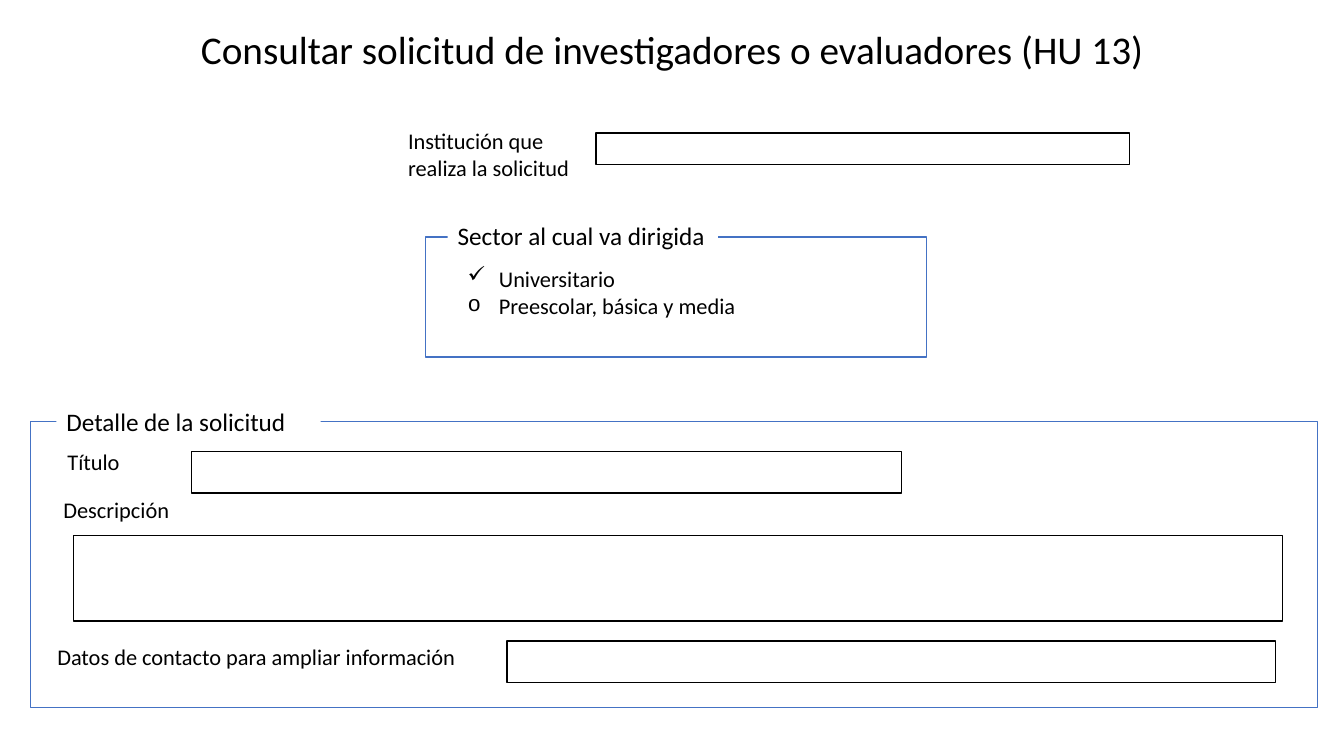
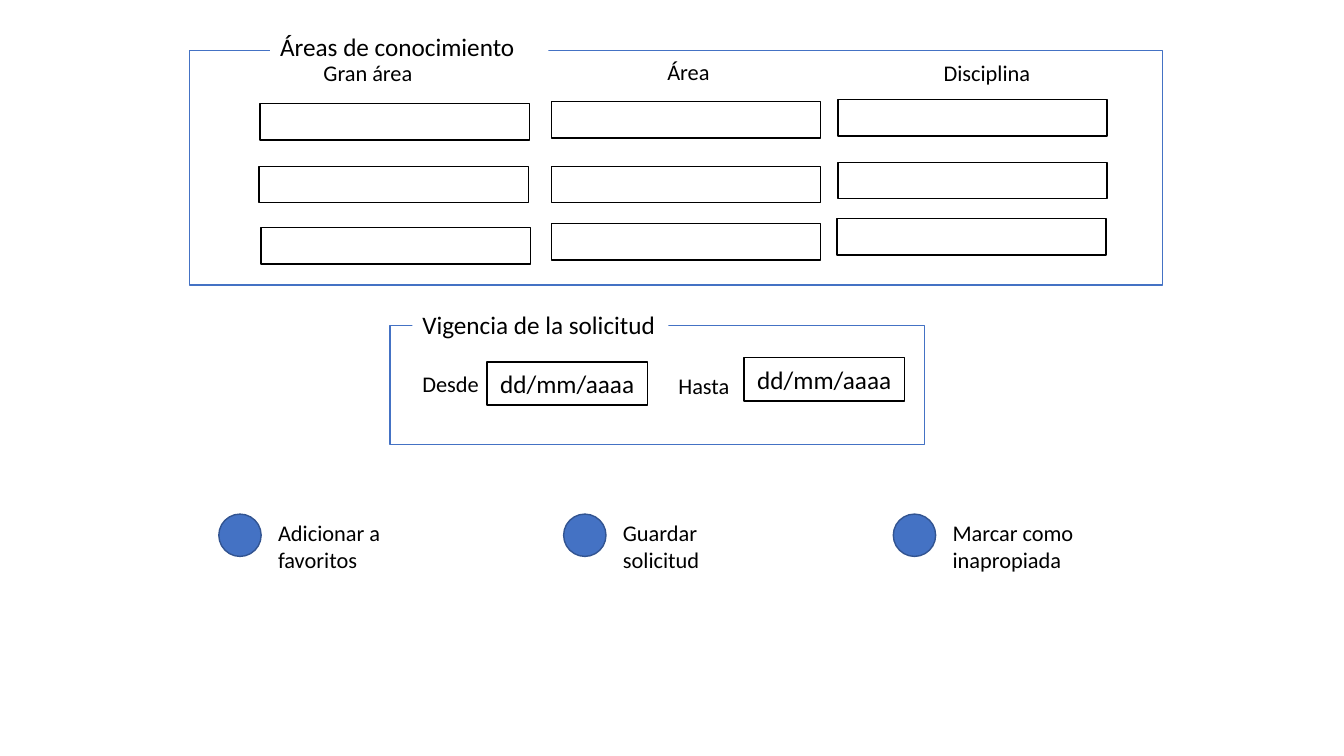
from dataclasses import dataclass

from lxml import etree
from pptx import Presentation
from pptx.dml.color import RGBColor
from pptx.enum.shapes import MSO_SHAPE
from pptx.enum.text import MSO_ANCHOR, MSO_AUTO_SIZE, PP_ALIGN
from pptx.oxml.ns import qn
from pptx.shapes.autoshape import Shape
from pptx.slide import Slide
from pptx.util import Inches, Pt

RECT, OVAL = MSO_SHAPE.RECTANGLE, MSO_SHAPE.OVAL
LEFT, CENTER = PP_ALIGN.LEFT, PP_ALIGN.CENTER
TOP, MIDDLE = MSO_ANCHOR.TOP, MSO_ANCHOR.MIDDLE
FIT = MSO_AUTO_SIZE.SHAPE_TO_FIT_TEXT

COLORS = {
    "text": "000000",
    "paper": "FFFFFF",
    "field": "000000",
    "accent": "4472C4",
    "accent_dark": "325491",
}
FONT = "Calibri"
TITLE_SIZE, LEGEND_SIZE, LABEL_SIZE = 28, 18, 16
SLIDE_W, SLIDE_H = 13.33, 7.5


@dataclass(frozen=True)
class Box:
    left: float
    top: float
    width: float
    height: float

    def lengths(self) -> list[int]:
        return [Inches(v) for v in (self.left, self.top, self.width, self.height)]


@dataclass(frozen=True)
class Label:
    text: str
    box: Box
    wrap: bool = False


@dataclass(frozen=True)
class Group:
    """A framed form section whose legend interrupts the top border."""
    frame: Box
    legend: Label


@dataclass(frozen=True)
class Column:
    heading: Label
    fields: tuple[tuple[float, float], ...]


@dataclass(frozen=True)
class Action:
    text: str
    left: float


def rgb(name: str) -> RGBColor:
    return RGBColor.from_string(COLORS[name])


def write(sp: Shape, lines: list[str], size: int, wrap: bool = True,
          align: PP_ALIGN = LEFT, anchor: MSO_ANCHOR = TOP) -> None:
    tf = sp.text_frame
    frame_format = {"word_wrap": wrap, "vertical_anchor": anchor}
    if anchor == TOP:
        frame_format["auto_size"] = FIT
    for name, value in frame_format.items():
        setattr(tf, name, value)
    for i, line in enumerate(lines):
        p = tf.paragraphs[0] if i == 0 else tf.add_paragraph()
        p.alignment = align
        r = p.add_run()
        r.text = line
        for name, value in {"name": FONT, "size": Pt(size)}.items():
            setattr(r.font, name, value)
        r.font.color.rgb = rgb("text")


def add_box(s: Slide, box: Box, line: str | None = "field",
            fill: str = "paper", kind: MSO_SHAPE = RECT) -> Shape:
    sp = s.shapes.add_shape(kind, *box.lengths())
    sp.shadow.inherit = False
    sp.fill.solid()
    sp.fill.fore_color.rgb = rgb(fill)
    if line is None:
        sp.line.fill.background()
    else:
        sp.line.color.rgb = rgb(line)
        sp.line.width = Pt(1)
    return sp


def add_text(s: Slide, label: Label, size: int = LABEL_SIZE,
             align: PP_ALIGN = LEFT) -> None:
    sp = s.shapes.add_textbox(*label.box.lengths())
    write(sp, [label.text], size, label.wrap, align)


def add_group(s: Slide, group: Group) -> None:
    add_box(s, group.frame, "accent")
    sp = add_box(s, group.legend.box, None)
    write(sp, [group.legend.text], LEGEND_SIZE, group.legend.wrap)


def add_options(s: Slide, box: Box, options: dict[str, str]) -> None:
    """Draw a list of options, each mapped to its bullet character."""
    sp = s.shapes.add_textbox(*box.lengths())
    write(sp, list(options), LABEL_SIZE, wrap=False)
    indent = Inches(0.31)
    for p, bullet in zip(sp.text_frame.paragraphs, options.values()):
        pPr = p._p.get_or_add_pPr()
        pPr.set("marL", str(indent))
        pPr.set("indent", str(-indent))
        if bullet == "o":
            etree.SubElement(pPr, qn("a:buFont")).set("typeface", "Courier New")
        etree.SubElement(pPr, qn("a:buChar")).set("char", bullet)


def add_date(s: Slide, label: Label, box: Box) -> None:
    add_text(s, label)
    sp = add_box(s, box)
    write(sp, ["dd/mm/aaaa"], LEGEND_SIZE, align=CENTER, anchor=MIDDLE)


def add_column(s: Slide, column: Column) -> None:
    add_text(s, column.heading)
    for left, top in column.fields:
        add_box(s, Box(left, top, 2.67, 0.36))


def add_action(s: Slide, action: Action) -> None:
    top, dot = 5.1, 0.42
    add_box(s, Box(action.left, top, dot, dot), "accent_dark", "accent", OVAL)
    add_text(s, Label(action.text, Box(action.left + 0.49, top, 1.4, 0.64), True))


TITLE = Label("Consultar solicitud de investigadores o evaluadores (HU 13)",
              Box(0, 0.2, SLIDE_W, 0.57), True)
DETAIL = Group(Box(0.3, 4.18, 12.77, 2.84),
               Label("Detalle de la solicitud", Box(0.56, 3.98, 2.62, 0.4), True))
SECTOR = Group(Box(4.22, 2.35, 4.97, 1.19),
               Label("Sector al cual va dirigida", Box(4.44, 2.14, 2.68, 0.4)))
AREAS = Group(Box(1.88, 0.5, 9.65, 2.33),
              Label("Áreas de conocimiento", Box(2.68, 0.26, 2.76, 0.4), True))
VALIDITY = Group(Box(3.87, 3.23, 5.3, 1.18),
                 Label("Vigencia de la solicitud", Box(4.09, 3.02, 2.54, 0.4)))

REQUEST_FIELDS = [
    (Label("Institución que realiza la solicitud", Box(3.95, 1.21, 2.04, 0.64), True),
     Box(5.91, 1.32, 5.29, 0.31)),
    (Label("Título", Box(0.57, 4.4, 0.72, 0.37)), Box(1.9, 4.48, 7.04, 0.41)),
    (Label("Descripción", Box(0.53, 4.87, 1.26, 0.37)), Box(0.73, 5.31, 11.99, 0.85)),
    (Label("Datos de contacto para ampliar información", Box(0.47, 6.33, 4.2, 0.37)),
     Box(5.03, 6.36, 7.62, 0.41)),
]
SECTOR_OPTIONS = {"Universitario": "✓", "Preescolar, básica y media": "o"}

AREA_COLUMNS = [
    Column(Label("Gran área", Box(3.11, 0.54, 1.4, 0.37), True),
           ((2.58, 1.03), (2.57, 1.65), (2.59, 2.26))),
    Column(Label("Área", Box(6.52, 0.53, 0.76, 0.37), True),
           ((5.47, 1.01), (5.47, 1.65), (5.47, 2.22))),
    Column(Label("Disciplina", Box(9.26, 0.54, 1.28, 0.37), True),
           ((8.31, 0.99), (8.31, 1.61), (8.3, 2.17))),
]
DATES = [
    (Label("Desde", Box(4.09, 3.62, 0.77, 0.37)), Box(4.83, 3.59, 1.59, 0.43)),
    (Label("Hasta", Box(6.63, 3.64, 0.71, 0.37)), Box(7.38, 3.55, 1.59, 0.43)),
]
ACTIONS = [
    Action("Adicionar a favoritos", 2.17),
    Action("Guardar solicitud", 5.59),
    Action("Marcar como inapropiada", 8.86),
]


def build_request(s: Slide) -> None:
    add_text(s, TITLE, TITLE_SIZE, CENTER)
    for group in (DETAIL, SECTOR):
        add_group(s, group)
    for label, box in REQUEST_FIELDS:
        add_text(s, label)
        add_box(s, box)
    add_options(s, Box(4.54, 2.58, 2.89, 0.64), SECTOR_OPTIONS)


def build_areas(s: Slide) -> None:
    for group in (VALIDITY, AREAS):
        add_group(s, group)
    for column in AREA_COLUMNS:
        add_column(s, column)
    for label, box in DATES:
        add_date(s, label, box)
    for action in ACTIONS:
        add_action(s, action)


def main() -> None:
    prs = Presentation()
    prs.slide_width, prs.slide_height = Inches(SLIDE_W), Inches(SLIDE_H)
    blank = prs.slide_layouts[6]
    for build in (build_request, build_areas):
        build(prs.slides.add_slide(blank))
    prs.save("out.pptx")


if __name__ == "__main__":
    main()
